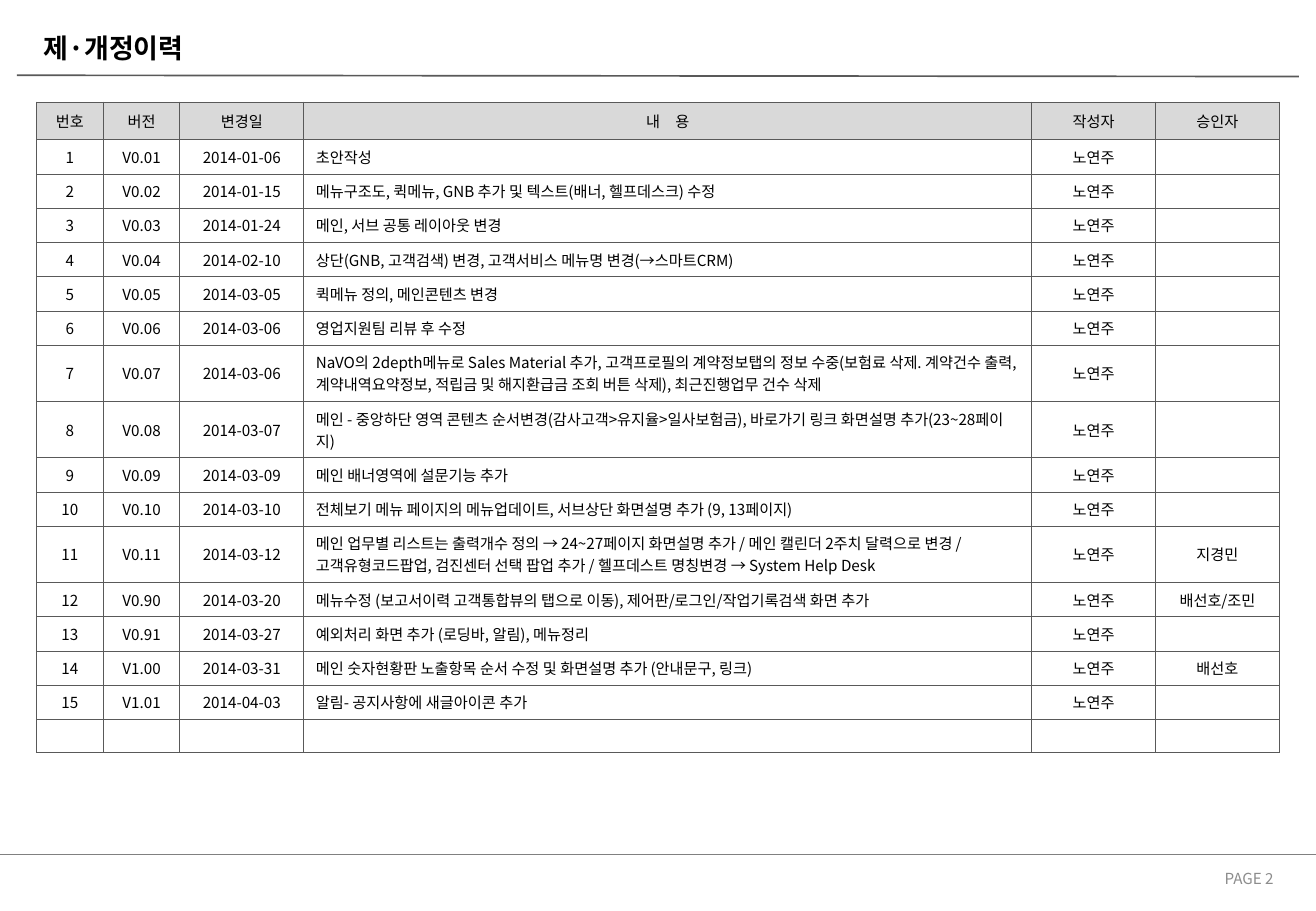
from dataclasses import dataclass

from lxml.etree import SubElement
from pptx import Presentation
from pptx.dml.color import RGBColor
from pptx.enum.shapes import MSO_CONNECTOR as CONNECTOR
from pptx.enum.text import MSO_ANCHOR as ANCHOR, PP_ALIGN as ALIGN
from pptx.oxml import parse_xml
from pptx.oxml.ns import nsdecls, qn
from pptx.util import Pt

PX = 9144  # EMU per px, 100 px to the inch


@dataclass(frozen=True)
class Theme:
    font: str = "Noto Sans CJK KR"
    ink: str = "000000"
    rule: str = "595959"
    footer_rule: str = "808080"
    footer_ink: str = "8C8C8C"
    header_fill: str = "D9D9D9"
    body_fill: str = "FFFFFF"
    title_size: int = 16
    body_size: int = 9
    title_rule_width: float = 1
    grid_width: float = 0.5
    footer_rule_width: float = 0.25


THEME = Theme()
SLIDE_WIDTH, SLIDE_HEIGHT = 1083, 750
COLUMN_WIDTHS = [55, 63, 102, 599, 102, 102]
HEADER_HEIGHT, ROW_HEIGHT = 31, 27
CONTENT_COLUMN = 3
HEADINGS = ("번호", "버전", "변경일", "내　용", "작성자", "승인자")
AUTHOR = "노연주"
REVISIONS = [
    ("V0.01", "2014-01-06", "초안작성", ""),
    ("V0.02", "2014-01-15", "메뉴구조도, 퀵메뉴, GNB 추가 및 텍스트(배너, 헬프데스크) 수정", ""),
    ("V0.03", "2014-01-24", "메인, 서브 공통 레이아웃 변경", ""),
    ("V0.04", "2014-02-10", "상단(GNB, 고객검색) 변경, 고객서비스 메뉴명 변경(→스마트CRM)", ""),
    ("V0.05", "2014-03-05", "퀵메뉴 정의, 메인콘텐츠 변경", ""),
    ("V0.06", "2014-03-06", "영업지원팀 리뷰 후 수정", ""),
    ("V0.07", "2014-03-06",
     "NaVO의 2depth메뉴로 Sales Material 추가, 고객프로필의 계약정보탭의 정보 수중(보험료 삭제. "
     "계약건수 출력, 계약내역요약정보, 적립금 및 해지환급금 조회 버튼 삭제), 최근진행업무 건수 삭제", ""),
    ("V0.08", "2014-03-07",
     "메인 - 중앙하단 영역 콘텐츠 순서변경(감사고객>유지율>일사보험금), "
     "바로가기 링크 화면설명 추가(23~28페이지)", ""),
    ("V0.09", "2014-03-09", "메인 배너영역에 설문기능 추가", ""),
    ("V0.10", "2014-03-10",
     "전체보기 메뉴 페이지의 메뉴업데이트, 서브상단 화면설명 추가 (9, 13페이지)", ""),
    ("V0.11", "2014-03-12",
     "메인 업무별 리스트는 출력개수 정의 → 24~27페이지 화면설명 추가 / 메인 캘린더 2주치 달력으로 변경 / "
     "고객유형코드팝업, 검진센터 선택 팝업 추가 / 헬프데스트 명칭변경 → System Help Desk", "지경민"),
    ("V0.90", "2014-03-20",
     "메뉴수정 (보고서이력 고객통합뷰의 탭으로 이동), 제어판/로그인/작업기록검색 화면 추가", "배선호/조민"),
    ("V0.91", "2014-03-27", "예외처리 화면 추가 (로딩바, 알림), 메뉴정리", ""),
    ("V1.00", "2014-03-31", "메인 숫자현황판 노출항목 순서 수정 및 화면설명 추가 (안내문구, 링크)", "배선호"),
    ("V1.01", "2014-04-03", "알림- 공지사항에 새글아이콘 추가", ""),
]


def apply(target, formats):
    for attribute, value in formats.items():
        setattr(target, attribute, value)


def emu(*lengths):
    return [length * PX for length in lengths]


def write(paragraph, text, size, color, align=ALIGN.LEFT, bold=False):
    paragraph.alignment = align
    if not text:
        SubElement(paragraph._p, qn("a:endParaRPr"), sz=str(size * 100))
        return
    run = paragraph.add_run()
    run.text = text
    apply(run.font, {"name": THEME.font, "size": Pt(size), "bold": bold})
    run.font.color.rgb = RGBColor.from_string(color)
    SubElement(run._r.get_or_add_rPr(), qn("a:ea"), typeface=THEME.font)


def add_rule(slide, start, end, color, width):
    rule = slide.shapes.add_connector(CONNECTOR.STRAIGHT, *emu(*start, *end))
    rule.line.color.rgb = RGBColor.from_string(color)
    rule.line.width = Pt(width)
    SubElement(rule._element.spPr, qn("a:effectLst"))


def set_frame(frame):
    apply(frame, {"vertical_anchor": ANCHOR.MIDDLE, "word_wrap": True,
                  "margin_left": 10 * PX, "margin_right": 10 * PX,
                  "margin_top": 0, "margin_bottom": 0})


def add_title(slide, left, top, width, height):
    title = slide.shapes.title
    apply(title, dict(zip(("left", "top", "width", "height"), emu(left, top, width, height))))
    set_frame(title.text_frame)
    write(title.text_frame.paragraphs[0], "제·개정이력", THEME.title_size, THEME.ink, bold=True)
    rule_left, rule_top = left - 12, top + 39
    add_rule(slide, (rule_left, rule_top), (rule_left + 1055, rule_top + 1),
             THEME.rule, THEME.title_rule_width)


def add_footer(slide, left, top, width, height):
    add_rule(slide, (0, top - 8), (SLIDE_WIDTH, top - 8),
             THEME.footer_rule, THEME.footer_rule_width)
    page = slide.shapes.add_textbox(*emu(left, top, width, height)).text_frame
    set_frame(page)
    write(page.paragraphs[0], "PAGE 2", THEME.body_size, THEME.footer_ink, ALIGN.RIGHT)


def format_cell(cell, fill):
    apply(cell, {"vertical_anchor": ANCHOR.MIDDLE,
                 "margin_left": 10 * PX, "margin_right": 10 * PX,
                 "margin_top": 5 * PX, "margin_bottom": 5 * PX})
    cell.fill.solid()
    cell.fill.fore_color.rgb = RGBColor.from_string(fill)
    for position, side in enumerate("LRTB"):
        border = parse_xml(
            f'<a:ln{side} {nsdecls("a")} w="{Pt(THEME.grid_width)}"><a:solidFill>'
            f'<a:srgbClr val="{THEME.rule}"/></a:solidFill></a:ln{side}>')
        cell._tc.get_or_add_tcPr().insert(position, border)


def add_history(slide, left, top, width, height):
    records = [(str(number), version, date, content, AUTHOR, approver)
               for number, (version, date, content, approver) in enumerate(REVISIONS, 1)]
    rows = [HEADINGS, *records, [""] * len(HEADINGS)]
    frame = slide.shapes.add_table(len(rows), len(HEADINGS), *emu(left, top, width, height))
    history = frame.table
    apply(history, {"first_row": False, "horz_banding": False})
    for column, column_width in zip(history.columns, COLUMN_WIDTHS):
        column.width = column_width * PX
    for row_index, texts in enumerate(rows):
        is_header = row_index == 0
        history.rows[row_index].height = (HEADER_HEIGHT if is_header else ROW_HEIGHT) * PX
        for column_index, text in enumerate(texts):
            cell = history.cell(row_index, column_index)
            format_cell(cell, THEME.header_fill if is_header else THEME.body_fill)
            is_content = column_index == CONTENT_COLUMN and not is_header
            write(cell.text_frame.paragraphs[0], text, THEME.body_size, THEME.ink,
                  ALIGN.LEFT if is_content else ALIGN.CENTER)
    frame.height = height * PX


def main():
    deck = Presentation()
    apply(deck, {"slide_width": SLIDE_WIDTH * PX, "slide_height": SLIDE_HEIGHT * PX})
    slide = deck.slides.add_slide(deck.slide_layouts.get_by_name("Title Only"))
    add_title(slide, 26, 23, 820, 32)
    add_history(slide, 30, 84, sum(COLUMN_WIDTHS), 498)
    add_footer(slide, 805, 711, 253, 24)
    deck.save("out.pptx")


if __name__ == "__main__":
    main()
